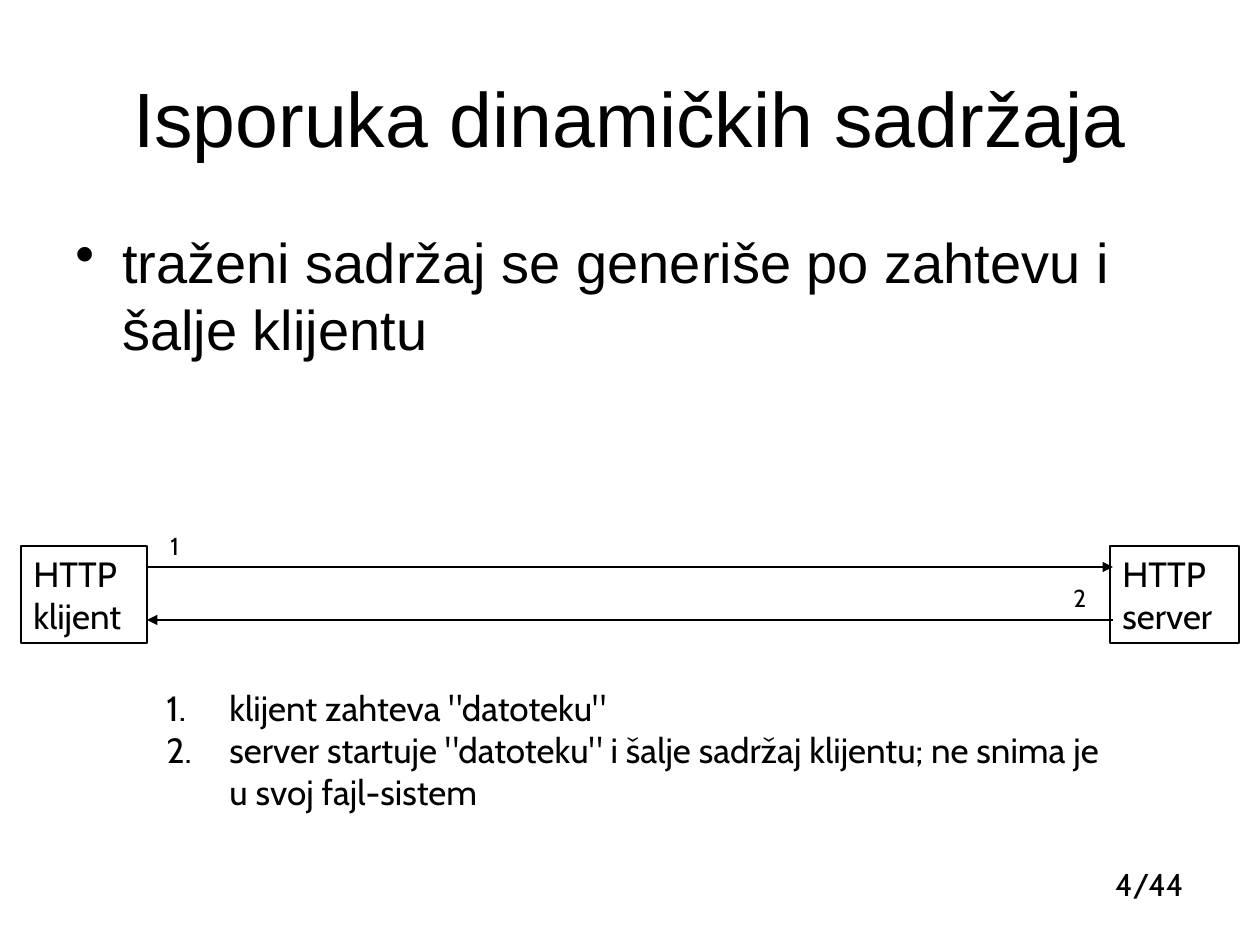
import dataclasses
import typing

import pptx
import pptx.dml.color
import pptx.enum.shapes
import pptx.enum.text
import pptx.oxml.ns
import pptx.util
from lxml import etree

EMU_PER_PX = 914400 / 126
BLACK = "000000"
ALIGN = pptx.enum.text.PP_ALIGN
ANCHOR = pptx.enum.text.MSO_ANCHOR


def px(length: int) -> pptx.util.Emu:
    return pptx.util.Emu(round(length * EMU_PER_PX))


def colour(value: str) -> pptx.dml.color.RGBColor:
    return pptx.dml.color.RGBColor.from_string(value)


@dataclasses.dataclass
class Block:
    left: int
    top: int
    width: int
    height: int
    lines: list[str]
    size: int
    font: str = "Cabin"
    align: typing.Any = ALIGN.LEFT
    anchor: typing.Any = ANCHOR.TOP
    indent: int = 0
    bullet: tuple[str, str, str] | None = None  # tag, attribute, value
    framed: bool = False


@dataclasses.dataclass
class Message:
    start: int
    end: int
    y: int


def add_bullet(paragraph, block: Block) -> None:
    properties = paragraph._p.get_or_add_pPr()
    properties.set("marL", str(px(block.indent)))
    properties.set("indent", str(-px(block.indent)))
    tag, attribute, value = block.bullet
    mark = etree.SubElement(properties, pptx.oxml.ns.qn(tag))
    mark.set(attribute, value)


def draw_block(slide, block: Block) -> None:
    place = [px(n) for n in (block.left, block.top, block.width, block.height)]
    if block.framed:
        shape = slide.shapes.add_shape(
            pptx.enum.shapes.MSO_SHAPE.RECTANGLE, *place)
        shape.shadow.inherit = False
        shape.fill.background()
        shape.line.color.rgb = colour(BLACK)
        shape.line.width = pptx.util.Pt(0.75)
    else:
        shape = slide.shapes.add_textbox(*place)
    frame = shape.text_frame
    frame.word_wrap = True
    frame.vertical_anchor = block.anchor
    font_format = {"name": block.font, "size": pptx.util.Pt(block.size)}
    for number, line in enumerate(block.lines):
        paragraph = frame.add_paragraph() if number else frame.paragraphs[0]
        paragraph.text = line
        paragraph.alignment = block.align
        if block.bullet:
            add_bullet(paragraph, block)
        for run in paragraph.runs:
            for attribute, value in font_format.items():
                setattr(run.font, attribute, value)
            run.font.color.rgb = colour(BLACK)


def draw_message(slide, message: Message) -> None:
    arrow = slide.shapes.add_connector(
        pptx.enum.shapes.MSO_CONNECTOR.STRAIGHT,
        px(message.start), px(message.y), px(message.end), px(message.y))
    arrow.line.color.rgb = colour(BLACK)
    arrow.line.width = pptx.util.Pt(0.75)
    head = etree.SubElement(
        arrow.line._get_or_add_ln(), pptx.oxml.ns.qn("a:tailEnd"))
    head.set("type", "triangle")
    etree.SubElement(arrow._element.spPr, pptx.oxml.ns.qn("a:effectLst"))


BLOCKS = [
    # Page number, title and statement
    Block(968, 859, 228, 50, ["4/44"], 18, align=ALIGN.RIGHT),
    Block(63, 38, 1134, 158, ["Isporuka dinamičkih sadržaja"], 44, "Arial",
          ALIGN.CENTER, ANCHOR.MIDDLE),
    Block(63, 221, 1134, 161,
          ["traženi sadržaj se generiše po zahtevu i šalje klijentu"],
          32, "Arial", indent=47, bullet=("a:buChar", "char", "•")),
    # Client and server
    Block(21, 546, 126, 97, ["HTTP", "klijent"], 20, framed=True),
    Block(1110, 546, 129, 97, ["HTTP", "server"], 20, framed=True),
    # Steps and their numbers on the arrows
    Block(154, 680, 1079, 139,
          ['klijent zahteva "datoteku"',
           'server startuje "datoteku" i šalje sadržaj klijentu; '
           "ne snima je\vu svoj fajl-sistem"],
          20, indent=63, bullet=("a:buAutoNum", "type", "arabicPeriod")),
    Block(158, 525, 39, 43, ["1"], 14),
    Block(1061, 577, 39, 43, ["2"], 14),
]

# Request to the server, response to the client
MESSAGES = [Message(147, 1113, 567), Message(1113, 147, 620)]


def main() -> None:
    deck = pptx.Presentation()
    deck.slide_width, deck.slide_height = px(1260), px(945)
    slide = deck.slides.add_slide(deck.slide_layouts[6])
    for block in BLOCKS:
        draw_block(slide, block)
    for message in MESSAGES:
        draw_message(slide, message)
    deck.save("out.pptx")


if __name__ == "__main__":
    main()
